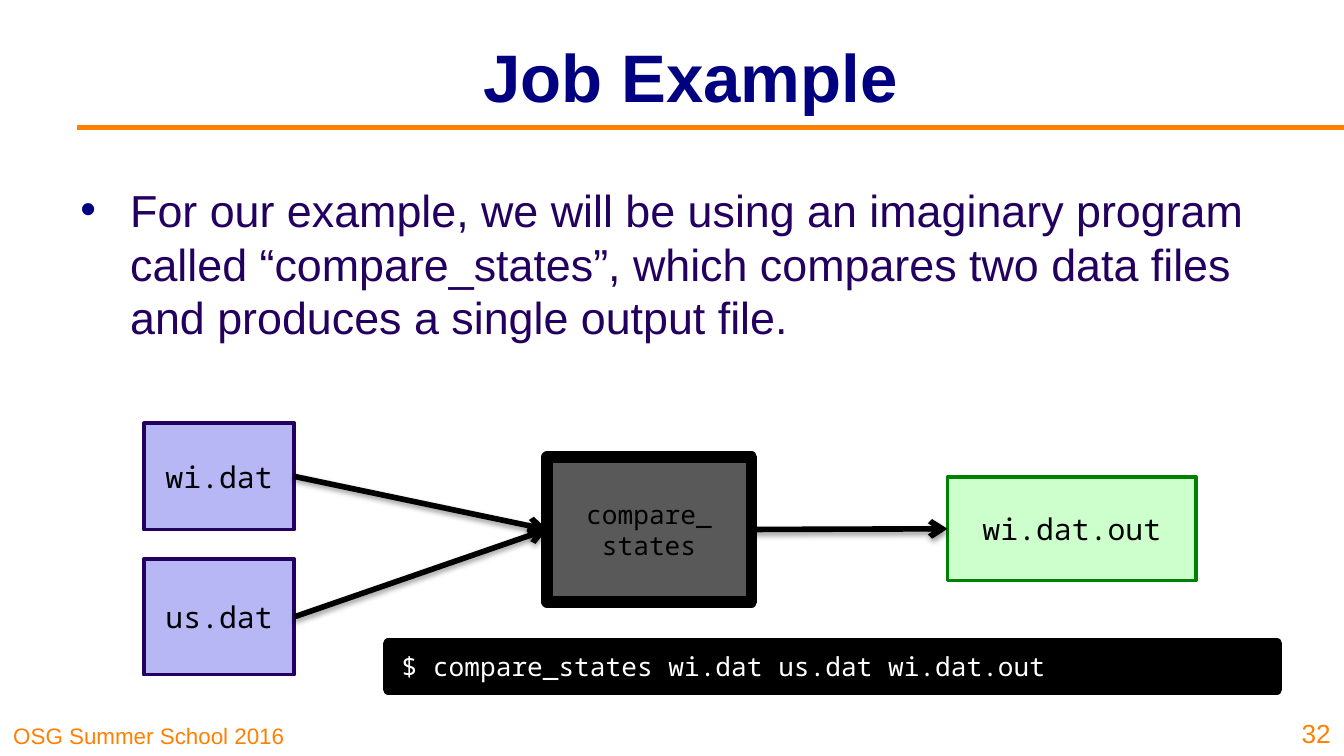
import dataclasses

import lxml.etree
import pptx
import pptx.dml.color
import pptx.enum.shapes
import pptx.enum.text
import pptx.oxml.ns
import pptx.util

PX = 9144  # one px is a hundredth of an inch
ALIGN = pptx.enum.text.PP_ALIGN
ANCHOR = pptx.enum.text.MSO_ANCHOR
RECTANGLE = pptx.enum.shapes.MSO_SHAPE.RECTANGLE
STRAIGHT = pptx.enum.shapes.MSO_CONNECTOR.STRAIGHT
RIGHT_SITE, LEFT_SITE = 3, 1


@dataclasses.dataclass(frozen=True)
class Theme:
    sans: str = "Arial"
    mono: str = "Noto Sans Mono"
    title: str = "000080"
    body: str = "23005F"
    accent: str = "FF8000"
    black: str = "000000"
    white: str = "FFFFFF"
    input_fill: str = "B7B7F5"
    program_fill: str = "595959"
    output_fill: str = "CCFFCC"
    output_line: str = "008000"
    title_size: int = 36
    body_size: int = 24
    file_size: int = 16
    code_size: int = 14
    footer_size: int = 12
    thin: int = 2
    medium: int = 3
    thick: int = 6


THEME = Theme()


def color(value):
    return pptx.dml.color.RGBColor.from_string(value)


def emu(*lengths):
    return [length * PX for length in lengths]


def add_xml(parent, tag, **attributes):
    element = lxml.etree.SubElement(parent, pptx.oxml.ns.qn(tag))
    for name, value in attributes.items():
        element.set(name, str(value))
    return element


def write(shape, text, size, ink, font=THEME.sans, bold=False,
          align=ALIGN.LEFT, anchor=ANCHOR.TOP, bullet=None, indent=0):
    """Fill a shape with text, one paragraph for each line."""
    frame = shape.text_frame
    frame.word_wrap = True
    frame.auto_size = pptx.enum.text.MSO_AUTO_SIZE.NONE
    frame.vertical_anchor = anchor
    frame.text = text
    for paragraph in frame.paragraphs:
        paragraph.alignment = align
        if bullet:
            properties = paragraph._p.get_or_add_pPr()
            properties.set("marL", str(indent * PX))
            properties.set("indent", str(-indent * PX))
            add_xml(add_xml(properties, "a:buClr"), "a:srgbClr", val=THEME.title)
            add_xml(properties, "a:buFont", typeface=THEME.sans)
            add_xml(properties, "a:buChar", char=bullet)
        paragraph.font.name = font
        paragraph.font.size = pptx.util.Pt(size)
        paragraph.font.bold = bold
        paragraph.font.color.rgb = color(ink)


def add_text(slide, box, text, size, ink, **formats):
    shape = slide.shapes.add_textbox(*emu(*box))
    write(shape, text, size, ink, **formats)


def add_box(slide, box, text, fill, line, width, size, ink=THEME.black,
            align=ALIGN.CENTER, anchor=ANCHOR.MIDDLE):
    shape = slide.shapes.add_shape(RECTANGLE, *emu(*box))
    shape.shadow.inherit = False
    shape.fill.solid()
    shape.fill.fore_color.rgb = color(fill)
    shape.line.color.rgb = color(line)
    shape.line.width = pptx.util.Pt(width)
    write(shape, text, size, ink, font=THEME.mono, align=align, anchor=anchor)
    return shape


def add_line(slide, start, end, ink):
    line = slide.shapes.add_connector(STRAIGHT, *emu(*start, *end))
    line.line.color.rgb = color(ink)
    line.line.width = pptx.util.Pt(THEME.medium)
    effects = add_xml(line._element.spPr, "a:effectLst")
    return line, effects


def add_arrow(slide, source, target):
    """Join the right side of one box to the left side of the next."""
    arrow, effects = add_line(slide, (0, 0), (0, 0), THEME.black)
    arrow.begin_connect(source, RIGHT_SITE)
    arrow.end_connect(target, LEFT_SITE)
    add_xml(arrow.line._get_or_add_ln(), "a:tailEnd", type="arrow")
    shadow = add_xml(effects, "a:outerShdw", blurRad=pptx.util.Pt(3.1),
                     dist=pptx.util.Pt(1.6), dir=90 * 60000, rotWithShape=0)
    ink = add_xml(shadow, "a:srgbClr", val=THEME.black)
    add_xml(ink, "a:alpha", val=38000)


def build_header(slide, left, top, width, height):
    title = slide.shapes.title
    title.left, title.top, title.width, title.height = emu(left + 77, top, 760, height)
    write(title, "Job Example", THEME.title_size, THEME.title, bold=True,
          align=ALIGN.CENTER, anchor=ANCHOR.MIDDLE)
    rule = top + height - 8
    add_line(slide, (left, rule), (left + width, rule), THEME.accent)


def build_body(slide, left, top, width, height):
    add_text(slide, (left, top, width, height),
             "For our example, we will be using an imaginary program called "
             "“compare_states”, which compares two data files and produces "
             "a single output file.",
             THEME.body_size, THEME.body, bullet="•", indent=37)


def build_diagram(slide, left, top, width, height):
    # Input files, program and output file
    inputs = [
        add_box(slide, (left, top + offset, 112, box_height), name,
                THEME.input_fill, THEME.body, THEME.thin, THEME.file_size)
        for name, offset, box_height in (("wi.dat", 0, 79), ("us.dat", 101, 86))
    ]
    program = add_box(slide, (left + 300, top + 25, 152, 108), "compare_\nstates",
                      THEME.program_fill, THEME.black, THEME.thick, THEME.code_size)
    output = add_box(slide, (left + 598, top + 40, 185, 77), "wi.dat.out",
                     THEME.output_fill, THEME.output_line, THEME.thin, THEME.file_size)
    # Data flow
    for source in inputs:
        add_arrow(slide, source, program)
    add_arrow(slide, program, output)
    # Command line
    command_left, command_height = 182, 34
    add_box(slide, (left + command_left, top + height - command_height,
                    width - command_left, command_height),
            "$ compare_states wi.dat us.dat wi.dat.out", THEME.black, THEME.black,
            THEME.thick, THEME.code_size, ink=THEME.white,
            align=ALIGN.LEFT, anchor=ANCHOR.TOP)


def build_footer(slide, left, top, width, height):
    add_text(slide, (left, top + height - 31, 248, 31), "OSG Summer School 2016",
             THEME.footer_size, THEME.accent, anchor=ANCHOR.BOTTOM)
    add_text(slide, (left + width - 46, top, 46, height), "32",
             THEME.code_size, THEME.accent, align=ALIGN.RIGHT, anchor=ANCHOR.BOTTOM)


def main():
    presentation = pptx.Presentation()
    # Widescreen, 16 to 9
    presentation.slide_width = 1000 * PX
    presentation.slide_height = presentation.slide_width * 9 // 16
    title_only = presentation.slide_layouts[5]
    slide = presentation.slides.add_slide(title_only)
    build_header(slide, 57, 9, 943, 94)
    build_body(slide, 50, 131, 922, 371)
    build_diagram(slide, 107, 315, 843, 198)
    build_footer(slide, 0, 524, 1000, 38)
    presentation.save("out.pptx")


if __name__ == "__main__":
    main()
